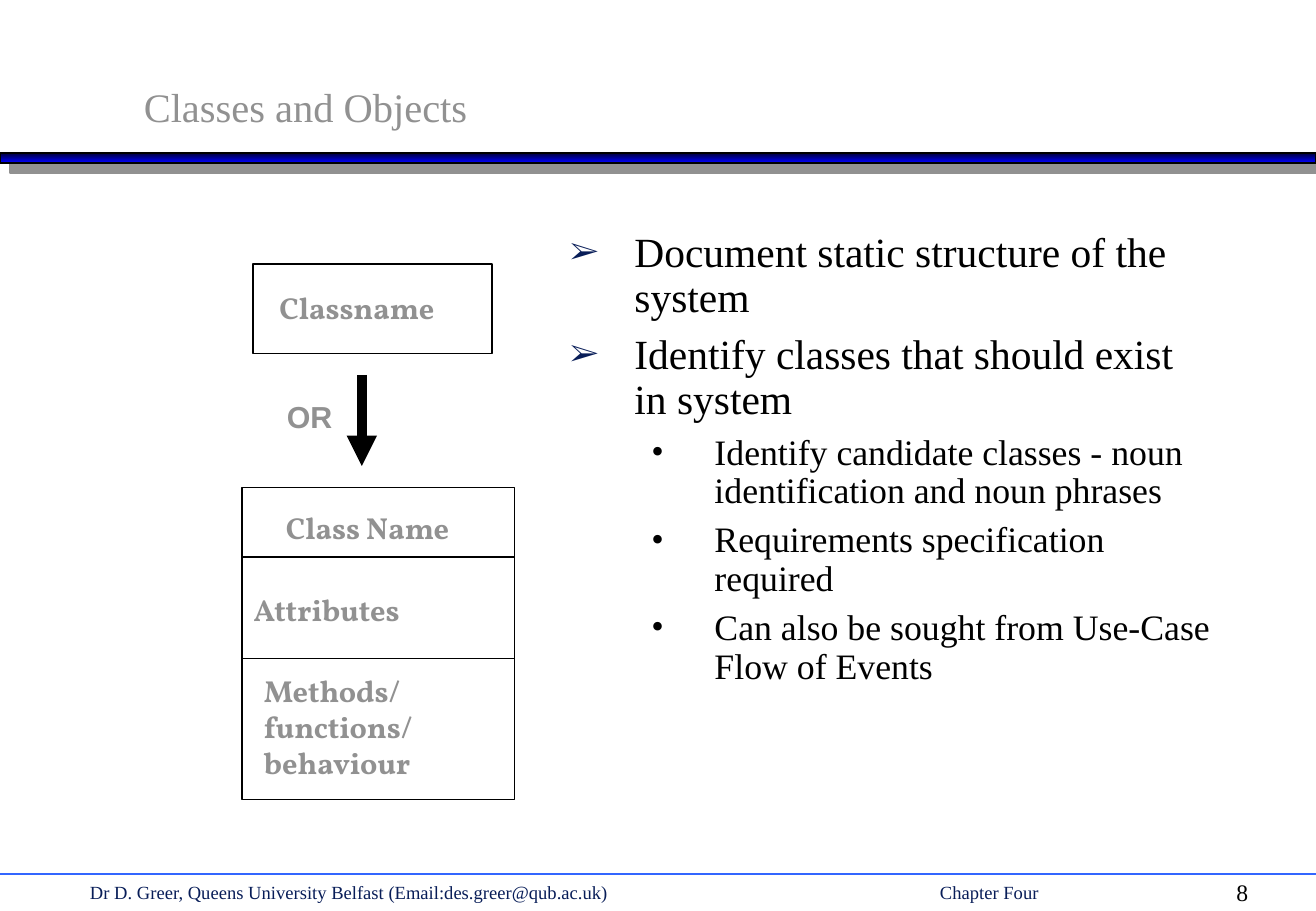
from dataclasses import dataclass

from lxml.etree import SubElement
from pptx import Presentation
from pptx.dml.color import RGBColor
from pptx.enum.shapes import MSO_CONNECTOR, MSO_SHAPE
from pptx.enum.text import MSO_ANCHOR, MSO_AUTO_SIZE, PP_ALIGN
from pptx.oxml.ns import qn
from pptx.util import Pt

SERIF, SLAB, SANS = "Times New Roman", "Vollkorn", "Arial"
BLACK, WHITE, GREY, NAVY = "000000", "FFFFFF", "919191", "081D58"
WIDTH, HEIGHT = 780.48, 540


@dataclass
class Box:
    left: float
    top: float
    width: float
    height: float


@dataclass
class Label:
    box: Box
    lines: list[str]
    size: float = 18
    font: str = SLAB
    color: str = GREY
    bold: bool = True
    wrap: bool = False


@dataclass
class Rule:
    start: tuple[float, float]
    end: tuple[float, float]
    color: str = BLACK
    width: float = 1
    arrow: bool = False


@dataclass
class Level:
    margin: float
    indent: float
    size: float
    before: float
    mark: str
    color: str
    scale: int


def rgb(code: str) -> RGBColor:
    return RGBColor.from_string(code)


def place(shape, box: Box) -> None:
    shape.left, shape.top = Pt(box.left), Pt(box.top)
    shape.width, shape.height = Pt(box.width), Pt(box.height)


def add_run(para, text: str, size: float, font: str, color: str, bold: bool = False) -> None:
    run = para.add_run()
    run.text = text
    run.font.size, run.font.name, run.font.bold = Pt(size), font, bold
    run.font.color.rgb = rgb(color)


def next_para(frame, index: int):
    return frame.paragraphs[0] if index == 0 else frame.add_paragraph()


def add_text(slide, box: Box):
    shape = slide.shapes.add_textbox(0, 0, 0, 0)
    place(shape, box)
    return shape.text_frame


def add_label(slide, label: Label) -> None:
    frame = add_text(slide, label.box)
    frame.word_wrap = label.wrap
    frame.auto_size = MSO_AUTO_SIZE.SHAPE_TO_FIT_TEXT
    for index, line in enumerate(label.lines):
        add_run(next_para(frame, index), line, label.size, label.font, label.color, label.bold)


def add_box(slide, box: Box):
    shape = slide.shapes.add_shape(MSO_SHAPE.RECTANGLE, 0, 0, 0, 0)
    place(shape, box)
    shape.shadow.inherit = False
    shape.fill.solid()
    shape.fill.fore_color.rgb = rgb(WHITE)
    shape.line.color.rgb = rgb(BLACK)
    shape.line.width = Pt(1)
    return shape


def add_rule(slide, rule: Rule) -> None:
    points = [Pt(value) for value in (*rule.start, *rule.end)]
    line = slide.shapes.add_connector(MSO_CONNECTOR.STRAIGHT, *points)
    line.line.color.rgb = rgb(rule.color)
    line.line.width = Pt(rule.width)
    props = line._element.spPr
    if rule.arrow:
        SubElement(props.find(qn("a:ln")), qn("a:tailEnd"), type="triangle")
    SubElement(props, qn("a:effectLst"))


def add_bar(slide, box: Box) -> None:
    bar = add_box(slide, box)
    bar.fill.gradient()
    bar.fill.gradient_angle = 270
    for stop, offset, code in zip(bar.fill.gradient_stops, (0, 1), ("000036", "0000FF")):
        stop.position = offset
        stop.color.rgb = rgb(code)
    glow = bar._element.spPr.find(qn("a:effectLst"))
    shade = SubElement(glow, qn("a:outerShdw"), blurRad="0", dist=str(Pt(8.5)),
                       dir="2700000", algn="ctr", rotWithShape="0")
    SubElement(shade, qn("a:srgbClr"), val=GREY)


def add_point(para, text: str, level: Level, first: bool) -> None:
    props = para._p.get_or_add_pPr()
    props.set("marL", str(Pt(level.margin)))
    props.set("indent", str(Pt(level.indent)))
    tint = SubElement(props, qn("a:buClr"))
    SubElement(tint, qn("a:srgbClr"), val=level.color)
    SubElement(props, qn("a:buSzPct"), val=str(level.scale * 1000))
    SubElement(props, qn("a:buFont"), typeface=SERIF)
    SubElement(props, qn("a:buChar"), char=level.mark)
    para.line_spacing = 0.9
    para.space_before = Pt(0 if first else level.before)
    add_run(para, text, level.size, SERIF, BLACK)


LEVELS = [
    Level(38.2, -38.2, 24.6, 7.3, "➢", NAVY, 75),
    Level(85.7, -37.4, 21.2, 6.2, "•", BLACK, 100),
]
POINTS = [
    (0, "Document static structure of the system"),
    (0, "Identify classes that should exist in system"),
    (1, "Identify candidate classes - noun identification and noun phrases"),
    (1, "Requirements specification required"),
    (1, "Can also be sought from Use-Case Flow of Events"),
]
SHORT = Box(150, 156.5, 142, 53)
FULL = Box(143.5, 289, 161.7, 185)
RIGHT = FULL.left + FULL.width
RULES = [
    Rule((0, 518), (WIDTH, 518), "3366FF"),
    *(Rule((FULL.left, y), (RIGHT, y)) for y in (330.2, 390.4)),
    Rule((214.6, 222.2), (214.6, 276.2), width=6, arrow=True),
]
LABELS = [
    Label(Box(158.6, 168, 112.3, 29), ["Classname"]),
    Label(Box(162.4, 298.4, 118.8, 29), ["Class Name"]),
    Label(Box(143.4, 346.7, 108.7, 29), ["Attributes"]),
    Label(Box(149.4, 394.6, 108.7, 72), ["Methods/", "functions/", "behaviour"]),
    Label(Box(163, 232.6, 41.8, 29), ["OR"], font=SANS),
    Label(Box(46.3, 518.8, 400, 20),
          ["Dr D. Greer, Queens University Belfast (Email:des.greer@qub.ac.uk)"],
          11, SERIF, NAVY, False, True),
    Label(Box(550.4, 518.8, 120, 20), ["Chapter Four"], 11, SERIF, NAVY, False, True),
    Label(Box(726.2, 516.6, 41.8, 24), ["8"], 14, SERIF, BLACK, False, True),
]


def main() -> None:
    deck = Presentation()
    deck.slide_width, deck.slide_height = Pt(WIDTH), Pt(HEIGHT)
    slide = deck.slides.add_slide(deck.slide_layouts[5])

    # Title and bar
    title = slide.shapes.title
    place(title, Box(78.1, 30.2, 611.3, 66.2))
    frame = title.text_frame
    frame.auto_size = MSO_AUTO_SIZE.NONE
    frame.vertical_anchor = MSO_ANCHOR.MIDDLE
    frame.paragraphs[0].alignment = PP_ALIGN.LEFT
    add_run(frame.paragraphs[0], "Classes and Objects", 24, SERIF, GREY)
    add_bar(slide, Box(0, 90.7, WIDTH, 5.8))

    # Class diagram and footer
    for box in (SHORT, FULL):
        add_box(slide, box)
    for rule in RULES:
        add_rule(slide, rule)
    for label in LABELS:
        add_label(slide, label)

    # Bullet points
    body = add_text(slide, Box(331, 133.9, 396, 328.3))
    body.word_wrap = True
    for index, (depth, text) in enumerate(POINTS):
        para = next_para(body, index)
        para.level = depth
        add_point(para, text, LEVELS[depth], index == 0)

    deck.save("out.pptx")


if __name__ == "__main__":
    main()
